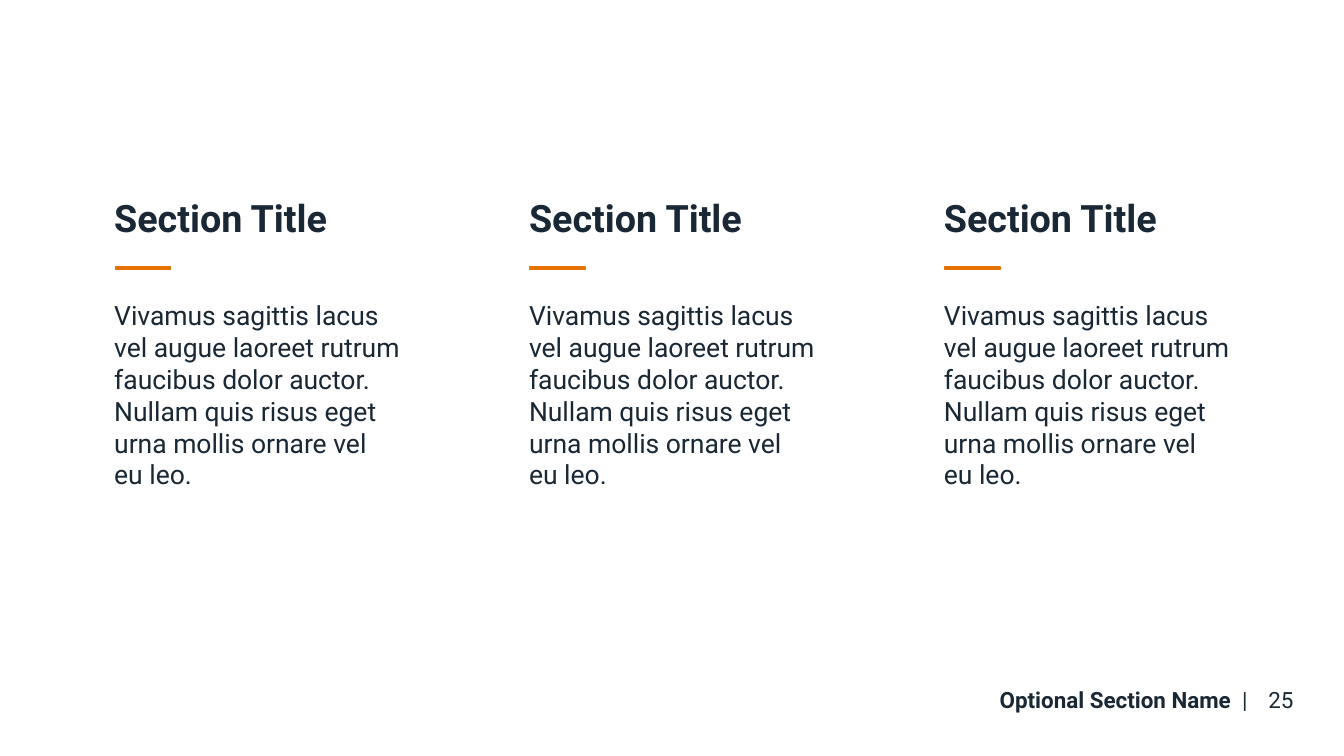
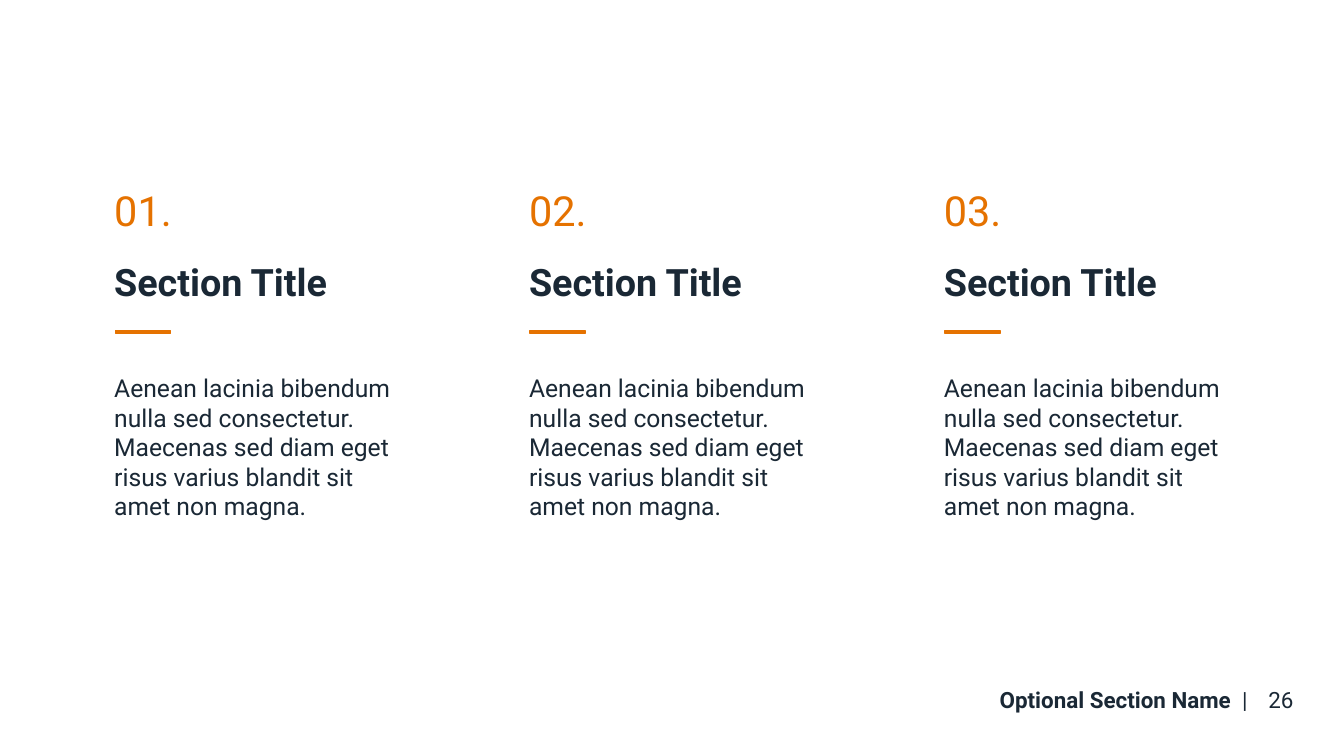
"""Build two three-column section slides, one plain and one numbered."""
from pptx import Presentation
from pptx.dml.color import RGBColor
from pptx.enum.shapes import MSO_SHAPE
from pptx.enum.text import MSO_ANCHOR, PP_ALIGN
from pptx.util import Cm, Pt

RECTANGLE = MSO_SHAPE.RECTANGLE
MIDDLE = MSO_ANCHOR.MIDDLE
LEFT, CENTER, RIGHT = PP_ALIGN.LEFT, PP_ALIGN.CENTER, PP_ALIGN.RIGHT

FONT = "Roboto"
WHITE, NAVY, ORANGE = "FFFFFF", "1A2835", "E57200"

SECTION_NAME = "Optional Section Name"
VIVAMUS = ("Vivamus sagittis lacus vel augue laoreet rutrum faucibus dolor auctor. "
           "Nullam quis risus eget urna mollis ornare vel eu leo.")
AENEAN = ("Aenean lacinia bibendum nulla sed consectetur. "
          "Maecenas sed diam eget risus varius blandit sit amet non magna.")

SLIDES = [
    {
        "page": "25", "title_top": 3.63,
        "body_top": 5.56, "body_height": 3.81, "body_size": 14.2,
        "columns": [("", "Section Title", VIVAMUS)] * 3,
    },
    {
        "page": "26", "title_top": 4.83,
        "body_top": 6.91, "body_height": 3.07, "body_size": 13.2,
        "columns": [(number, "Section Title", AENEAN) for number in ("01.", "02.", "03.")],
    },
]

COLUMN_LEFT, COLUMN_PITCH, COLUMN_WIDTH = 1.91, 7.84, 5.92
NUMBER_TOP, NUMBER_WIDTH = 3.48, 2.39
TITLE_HEIGHT = 0.97
RULE_INDENT, RULE_DROP, RULE_WIDTH, RULE_HEIGHT = 0.27, 1.42, 1.04, 0.05
FOOTER_TOP, FOOTER_HEIGHT = 12.67, 1.09
INSET = 0.25


def color(value):
    return RGBColor.from_string(value)


def add_text(slide, text, left, top, width, height, size=12, bold=False,
             fill=NAVY, align=LEFT):
    """Add a text box; text is a string or a list of (text, bold) runs."""
    frame = slide.shapes.add_textbox(Cm(left), Cm(top), Cm(width), Cm(height)).text_frame
    frame.word_wrap = True
    frame.vertical_anchor = MIDDLE
    frame.margin_left = frame.margin_right = Cm(INSET)
    frame.margin_top = frame.margin_bottom = Cm(INSET)
    paragraph = frame.paragraphs[0]
    paragraph.alignment = align
    for content, is_bold in [(text, bold)] if isinstance(text, str) else text:
        run = paragraph.add_run()
        run.text = content
        run.font.name = FONT
        run.font.size = Pt(size)
        run.font.bold = is_bold
        run.font.color.rgb = color(fill)


def add_rule(slide, left, top):
    rule = slide.shapes.add_shape(RECTANGLE, Cm(left), Cm(top), Cm(RULE_WIDTH), Cm(RULE_HEIGHT))
    rule.shadow.inherit = False
    rule.fill.solid()
    rule.fill.fore_color.rgb = color(ORANGE)
    rule.line.color.rgb = color(ORANGE)
    rule.line.width = Pt(0.75)


def add_footer(slide, page):
    add_text(slide, page, 23.65, FOOTER_TOP, 1.12, FOOTER_HEIGHT, align=CENTER)
    add_text(slide, [(SECTION_NAME + " ", True), (" |", False)],
             17.96, FOOTER_TOP, 5.87, FOOTER_HEIGHT, align=RIGHT)


def add_column(slide, layout, left, number, title, body):
    title_top = layout["title_top"]
    if number:
        add_text(slide, number, left, NUMBER_TOP, NUMBER_WIDTH, TITLE_HEIGHT,
                 size=22.2, fill=ORANGE)
    add_text(slide, title, left, title_top, COLUMN_WIDTH, TITLE_HEIGHT, size=20.2, bold=True)
    add_rule(slide, left + RULE_INDENT, title_top + RULE_DROP)
    add_text(slide, body, left, layout["body_top"], COLUMN_WIDTH, layout["body_height"],
             size=layout["body_size"])


def main():
    presentation = Presentation()
    presentation.slide_width, presentation.slide_height = Cm(25.4), Cm(14.29)
    blank = presentation.slide_layouts[6]
    for layout in SLIDES:
        slide = presentation.slides.add_slide(blank)
        slide.background.fill.solid()
        slide.background.fill.fore_color.rgb = color(WHITE)
        add_footer(slide, layout["page"])
        for index, column in enumerate(layout["columns"]):
            add_column(slide, layout, COLUMN_LEFT + index * COLUMN_PITCH, *column)
    presentation.save("out.pptx")


if __name__ == "__main__":
    main()
